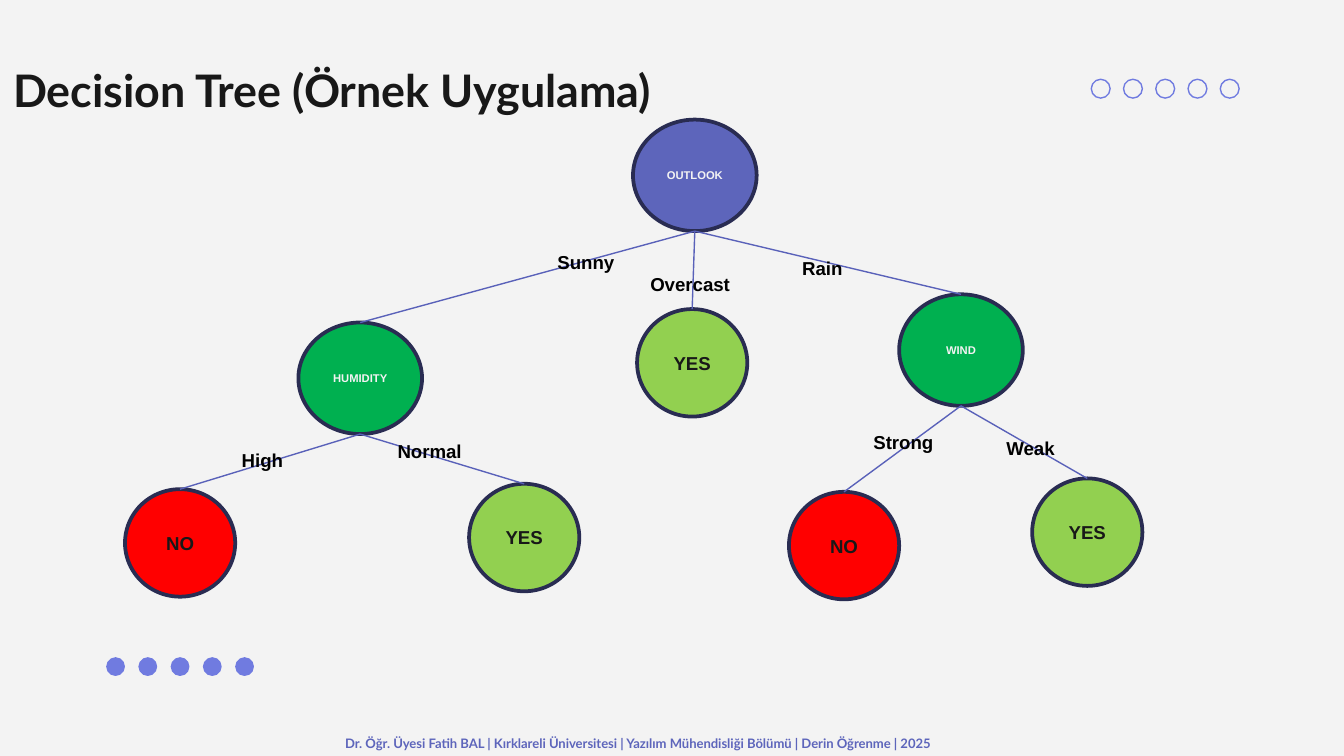
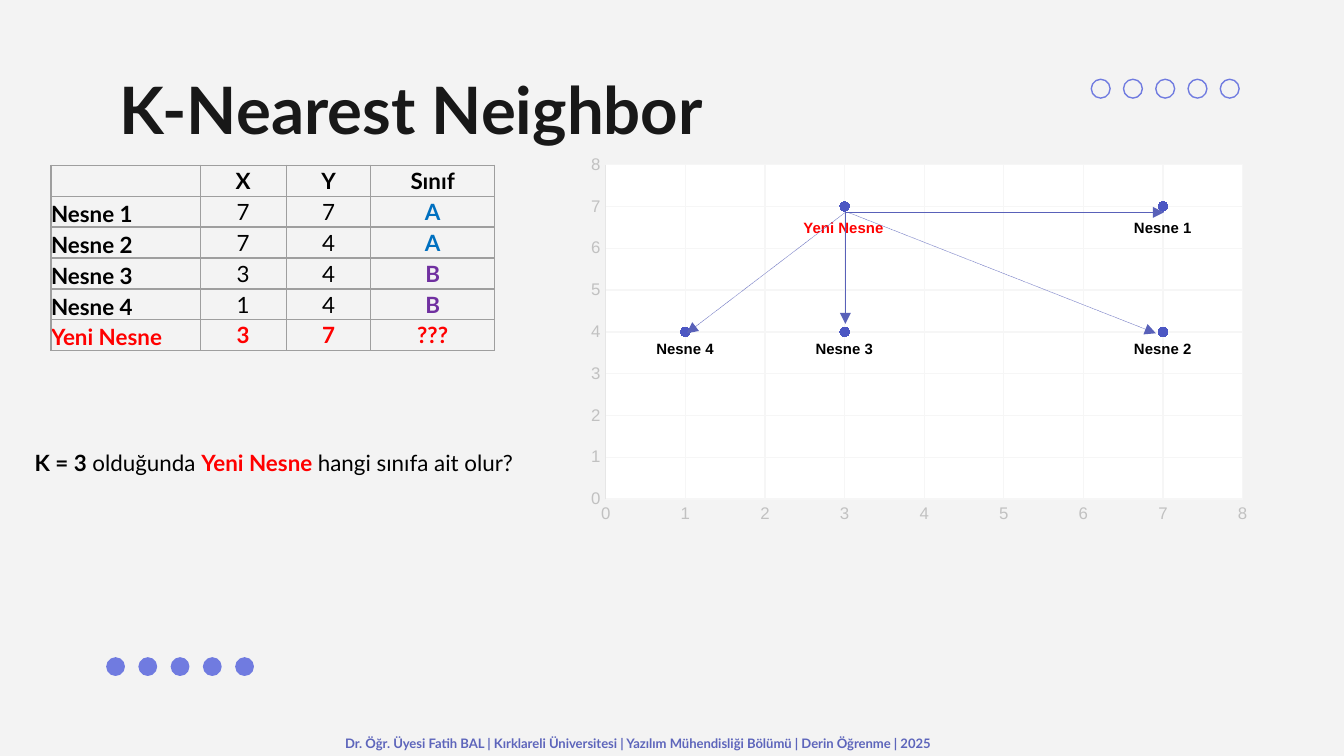
from dataclasses import dataclass

from lxml.etree import SubElement
from pptx import Presentation
from pptx.chart.data import XyChartData
from pptx.dml.color import RGBColor
from pptx.enum.chart import XL_CHART_TYPE, XL_MARKER_STYLE, XL_TICK_MARK
from pptx.enum.dml import MSO_LINE
from pptx.enum.shapes import MSO_CONNECTOR, MSO_SHAPE
from pptx.enum.text import MSO_ANCHOR, MSO_AUTO_SIZE, PP_ALIGN
from pptx.oxml.ns import qn
from pptx.util import Inches, Pt


@dataclass(frozen=True)
class Theme:
    head_font: str = "Lato"
    body_font: str = "Arial"
    paper: str = "F3F3F3"
    ink: str = "181818"
    black: str = "000000"
    white: str = "FFFFFF"
    dot: str = "707BE0"
    accent: str = "5D65BB"
    link: str = "5961B9"
    outline: str = "292C52"
    test: str = "00B050"
    yes: str = "92D050"
    red: str = "FF0000"
    class_a: str = "0070C0"
    class_b: str = "7030A0"
    border: str = "9E9E9E"
    marker: str = "4C57C3"
    tick: str = "C1C1C1"
    grid: str = "F6F6F6"
    value_line: str = "E6E6E6"
    tree_title_size: float = 24
    knn_title_size: float = 35
    footer_size: float = 7
    test_size: float = 6
    leaf_size: float = 10
    point_size: float = 8
    tick_size: float = 9
    text_size: float = 12


T = Theme()

# Shared content
FOOTER = ("Dr. Öğr. Üyesi Fatih BAL | Kırklareli Üniversitesi | "
          "Yazılım Mühendisliği Bölümü | Derin Öğrenme | 2025")
DOT_COUNT, DOT_SIZE, DOT_STEP = 5, 0.14, 0.24

# Decision tree: key -> (label, kind, left, top)
TREE_TITLE = "Decision Tree (Örnek Uygulama)"
NODE_KINDS = {  # width, height, fill, text colour, text size
    "root": (0.92, 0.83, T.accent, T.paper, T.test_size),
    "test": (0.92, 0.83, T.test, T.paper, T.test_size),
    "yes": (0.82, 0.8, T.yes, T.ink, T.leaf_size),
    "no": (0.82, 0.8, T.red, T.ink, T.leaf_size),
}
NODES = {
    "outlook": ("OUTLOOK", "root", 4.71, 0.89),
    "humidity": ("HUMIDITY", "test", 2.22, 2.4),
    "overcast": ("YES", "yes", 4.74, 2.3),
    "wind": ("WIND", "test", 6.69, 2.19),
    "high": ("NO", "no", 0.93, 3.64),
    "normal": ("YES", "yes", 3.49, 3.6),
    "strong": ("NO", "no", 5.87, 3.66),
    "weak": ("YES", "yes", 7.68, 3.56),
}
# parent, child, label, label box left, top, width
BRANCHES = [
    ("outlook", "humidity", "Sunny", 4.05, 1.82, 0.63),
    ("outlook", "overcast", "Overcast", 4.74, 1.98, 0.8),
    ("outlook", "wind", "Rain", 5.87, 1.86, 0.51),
    ("humidity", "high", "High", 1.7, 3.29, 0.51),
    ("humidity", "normal", "Normal", 2.86, 3.22, 0.68),
    ("wind", "strong", "Strong", 6.4, 3.16, 0.65),
    ("wind", "weak", "Weak", 7.39, 3.2, 0.57),
]

# Nearest neighbour
KNN_TITLE = "K-Nearest Neighbor"
HEADERS = ("", "X", "Y", "Sınıf")
NEW_OBJECT = "Yeni Nesne"
OBJECTS = [("Nesne 1", 7, 7, "A"), ("Nesne 2", 7, 4, "A"), ("Nesne 3", 3, 4, "B"),
           ("Nesne 4", 1, 4, "B"), (NEW_OBJECT, 3, 7, "???")]
CLASS_COLORS = {"A": T.class_a, "B": T.class_b}
COLUMN_WIDTHS = (1.11, 0.64, 0.63, 0.92)
ROW_HEIGHT = 0.23
CHART_BOX = (4.21, 1.11, 5.41, 3.2)
PLOT = {"x": 0.055, "y": 0.036, "w": 0.876, "h": 0.778}
AXIS_MAX = 8
LABEL_TOPS = {7: 1.58, 4: 2.48}  # by Y value
DISTANCES = [((6.29, 1.58), (8.66, 1.58)), ((6.31, 1.58), (8.6, 2.48)),
             ((6.29, 1.58), (6.29, 2.41)), ((6.29, 1.58), (5.11, 2.48))]
QUESTION = [("K = 3 ", T.black, True), ("olduğunda ", T.black, False),
            ("Yeni Nesne ", T.red, True), ("hangi sınıfa ait olur?", T.black, False)]


def rgb(value):
    return RGBColor.from_string(value)


def box(*lengths):
    return [Inches(length) for length in lengths]


def style(font, face, size, color, bold=False):
    font.name, font.size, font.bold = face, Pt(size), bold
    font.color.rgb = rgb(color)


def add_run(paragraph, text, face, size, color, bold=True):
    run = paragraph.add_run()
    run.text = text
    style(run.font, face, size, color, bold)


def add_text(slide, place, runs, face, size, wrap=True, inset=None, grow=False):
    """Add a one-paragraph box; runs are (text, colour, bold)."""
    frame = slide.shapes.add_textbox(*box(*place)).text_frame
    frame.word_wrap = wrap
    if grow:
        frame.auto_size = MSO_AUTO_SIZE.SHAPE_TO_FIT_TEXT
    if inset is not None:
        frame.vertical_anchor = MSO_ANCHOR.MIDDLE
        frame.margin_left = frame.margin_right = Inches(inset)
        frame.margin_top = frame.margin_bottom = Inches(inset)
    for text, color, bold in runs:
        add_run(frame.paragraphs[0], text, face, size, color, bold)
    return frame.paragraphs[0]


def add_label(slide, place, text, size, color=T.black):
    add_text(slide, place, [(text, color, True)], T.body_font, size, wrap=False, grow=True)


def add_circle(shapes, place, fill=None, line=None, weight=0.75):
    circle = shapes.add_shape(MSO_SHAPE.OVAL, *box(*place))
    circle.shadow.inherit = False
    for part, color in ((circle.fill, fill), (circle.line.fill, line)):
        if color:
            part.solid()
            part.fore_color.rgb = rgb(color)
        else:
            part.background()
    if line:
        circle.line.width = Pt(weight)
    return circle


def add_link(slide, start, end, weight=0.75, arrow=False):
    link = slide.shapes.add_connector(MSO_CONNECTOR.STRAIGHT, *box(*start, *end))
    link.line.color.rgb = rgb(T.link)
    link.line.width = Pt(weight)
    properties = link.element.spPr
    if arrow:
        link.line.dash_style = MSO_LINE.ROUND_DOT
        SubElement(properties.find(qn("a:ln")), qn("a:tailEnd"), type="triangle")
    SubElement(properties, qn("a:effectLst"))


def add_base(deck, title, left, top, size):
    """Start a slide with background, title, dot rows and footer."""
    slide = deck.slides.add_slide(deck.slide_layouts[6])
    slide.background.fill.solid()
    slide.background.fill.fore_color.rgb = rgb(T.paper)
    add_text(slide, (left, top, 8.43, 0.63), [(title, T.ink, True)],
             T.head_font, size, inset=0.1)
    for row_left, row_top, colors in ((8.12, 0.59, {"line": T.dot}),
                                      (0.79, 4.89, {"fill": T.dot})):
        dots = slide.shapes.add_group_shape().shapes
        for i in range(DOT_COUNT):
            add_circle(dots, (row_left + i * DOT_STEP, row_top, DOT_SIZE, DOT_SIZE), **colors)
    footer = add_text(slide, (2.47, 5.42, 5.06, 0.2), [(FOOTER, T.accent, True)],
                      T.head_font, T.footer_size, inset=0.1)
    footer.line_spacing = 1.15
    return slide


def build_tree(deck):
    slide = add_base(deck, TREE_TITLE, 0, 0.35, T.tree_title_size)
    # Nodes
    tops, bottoms = {}, {}
    for key, (label, kind, left, top) in NODES.items():
        width, height, fill, color, size = NODE_KINDS[kind]
        node = add_circle(slide.shapes, (left, top, width, height), fill, T.outline, 2)
        node.text_frame.vertical_anchor = MSO_ANCHOR.MIDDLE
        paragraph = node.text_frame.paragraphs[0]
        paragraph.alignment = PP_ALIGN.CENTER
        add_run(paragraph, label, T.body_font, size, color)
        tops[key] = (left + width / 2, top)
        bottoms[key] = (left + width / 2, top + height)
    # Branches run from a parent's bottom to a child's top
    for parent, child, label, left, top, width in BRANCHES:
        add_link(slide, bottoms[parent], tops[child])
        add_label(slide, (left, top, width, 0.27), label, T.leaf_size)


def draw_borders(cell):
    properties = cell._tc.get_or_add_tcPr()
    for side in "LRTB":
        line = SubElement(properties, qn(f"a:ln{side}"), w=str(Pt(0.75)))
        SubElement(SubElement(line, qn("a:solidFill")), qn("a:srgbClr"), val=T.border)


def cell_style(row, column, value):
    """Return colour and weight for a table cell."""
    if row == len(OBJECTS):
        return T.red, True
    return CLASS_COLORS.get(value, T.black), row == 0 or column in (0, 3)


def add_objects(slide):
    rows = [HEADERS, *OBJECTS]
    table = slide.shapes.add_table(len(rows), len(HEADERS), *box(
        0.38, 1.23, sum(COLUMN_WIDTHS), ROW_HEIGHT * len(rows))).table
    table.first_row = table.horz_banding = False
    for column, width in zip(table.columns, COLUMN_WIDTHS):
        column.width = Inches(width)
    for r, values in enumerate(rows):
        table.rows[r].height = Inches(ROW_HEIGHT)
        for c, value in enumerate(values):
            cell = table.cell(r, c)
            draw_borders(cell)
            cell.fill.background()
            cell.margin_left = cell.margin_right = 0
            cell.margin_top = cell.margin_bottom = 0
            cell.vertical_anchor = MSO_ANCHOR.MIDDLE if c else MSO_ANCHOR.BOTTOM
            paragraph = cell.text_frame.paragraphs[0]
            paragraph.alignment = PP_ALIGN.CENTER if c else PP_ALIGN.LEFT
            if value == "":
                SubElement(paragraph._p, qn("a:endParaRPr"), sz=str(T.text_size * 100))
            else:
                add_run(paragraph, str(value), T.head_font, T.text_size,
                        *cell_style(r, c, value))


def style_axis(axis, line_color):
    axis.minimum_scale, axis.maximum_scale, axis.major_unit = 0, AXIS_MAX, 1
    axis.major_tick_mark = axis.minor_tick_mark = XL_TICK_MARK.NONE
    axis.has_major_gridlines = True
    style(axis.tick_labels.font, T.body_font, T.tick_size, T.tick)
    for line, color in ((axis.format.line, line_color),
                        (axis.major_gridlines.format.line, T.grid)):
        line.color.rgb = rgb(color)
        line.width = Pt(0.75)


def add_scatter(slide):
    data = XyChartData()
    series_data = data.add_series("Series 1")
    for _, x, y, _ in OBJECTS:
        series_data.add_data_point(x, y)
    chart = slide.shapes.add_chart(XL_CHART_TYPE.XY_SCATTER, *box(*CHART_BOX), data).chart
    chart.has_legend = chart.has_title = False
    style(chart.font, T.body_font, T.leaf_size, T.ink)
    style_axis(chart.category_axis, T.grid)
    style_axis(chart.value_axis, T.value_line)
    plot = chart.plots[0]
    plot.vary_by_categories = False
    series = plot.series[0]
    series.format.line.fill.background()
    series.marker.style, series.marker.size = XL_MARKER_STYLE.CIRCLE, 5
    for part in (series.marker.format.fill, series.marker.format.line.fill):
        part.solid()
        part.fore_color.rgb = rgb(T.marker)

    # Plot area position and fill
    area = chart._chartSpace.chart.plotArea
    for old in area.findall(qn("c:layout")):
        area.remove(old)
    layout = SubElement(area, qn("c:layout"))
    area.insert(0, layout)
    manual = SubElement(layout, qn("c:manualLayout"))
    SubElement(manual, qn("c:layoutTarget"), val="inner")
    for axis in "xy":
        SubElement(manual, qn(f"c:{axis}Mode"), val="edge")
    for key, value in PLOT.items():
        SubElement(manual, qn(f"c:{key}"), val=str(value))
    fill = SubElement(SubElement(area, qn("c:spPr")), qn("a:solidFill"))
    SubElement(fill, qn("a:srgbClr"), val=T.white)


def build_knn(deck):
    slide = add_base(deck, KNN_TITLE, 0.79, 0.49, T.knn_title_size)
    add_objects(slide)
    add_scatter(slide)
    # Point labels, centred under their markers
    left, _, chart_width, _ = CHART_BOX
    for name, x, y, _ in OBJECTS:
        is_new = name == NEW_OBJECT
        width = 0.81 if is_new else 0.63
        center = left + chart_width * (PLOT["x"] + PLOT["w"] * x / AXIS_MAX)
        add_label(slide, (center - width / 2, LABEL_TOPS[y], width, 0.24), name,
                  T.point_size, T.red if is_new else T.black)
    for start, end in DISTANCES:
        add_link(slide, start, end, 0.25, arrow=True)
    add_text(slide, (0.16, 3.29, 4.05, 0.3), QUESTION, T.head_font, T.text_size, grow=True)


def main():
    deck = Presentation()
    deck.slide_width = Inches(10)
    deck.slide_height = deck.slide_width * 9 // 16
    build_tree(deck)
    build_knn(deck)
    deck.save("out.pptx")


if __name__ == "__main__":
    main()
